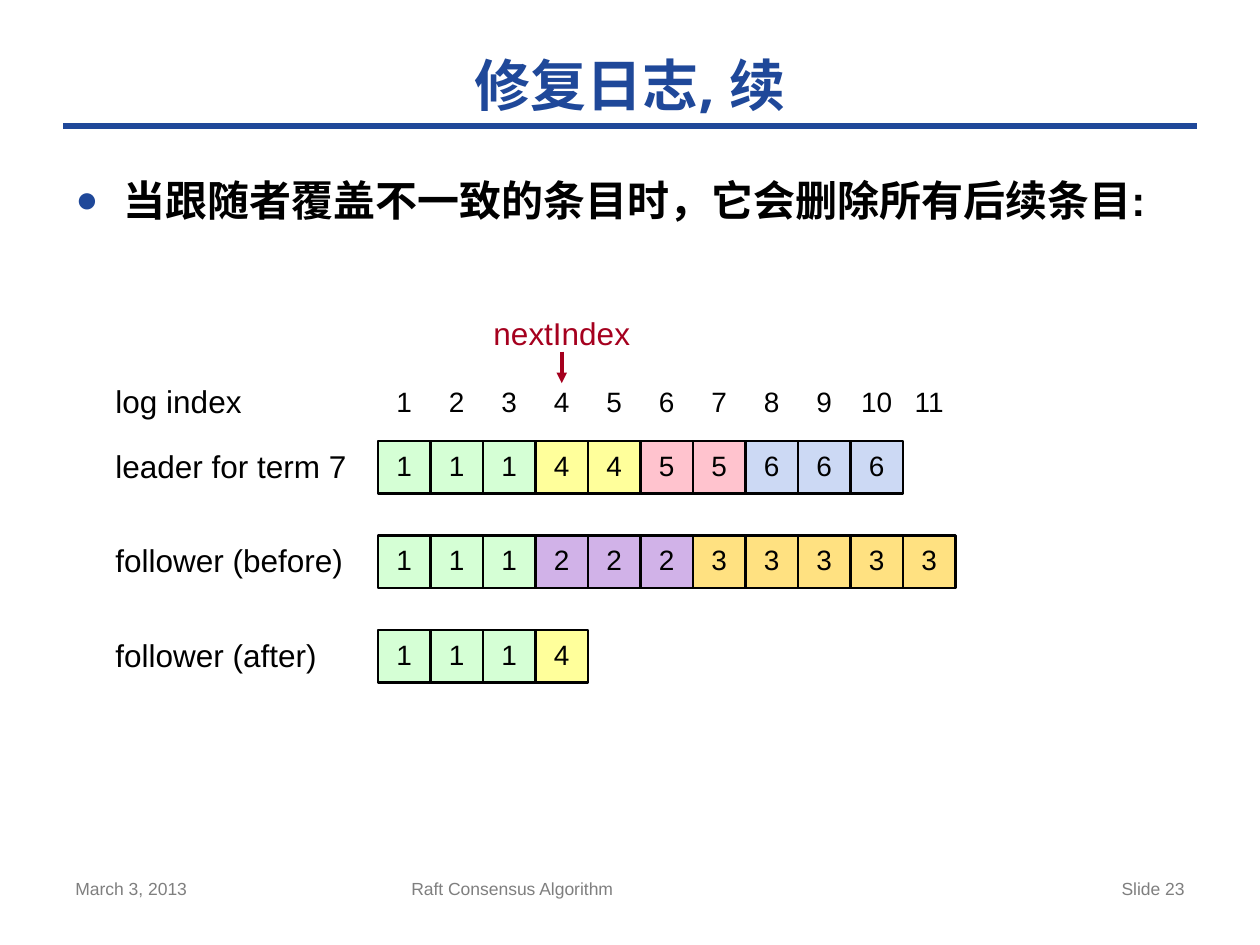
from lxml.etree import SubElement
from pptx import Presentation
from pptx.dml.color import RGBColor
from pptx.enum.shapes import MSO_CONNECTOR, MSO_SHAPE
from pptx.enum.text import MSO_ANCHOR, MSO_AUTO_SIZE, PP_ALIGN
from pptx.oxml.ns import qn
from pptx.util import Inches, Pt

COLORS = {
    "blue": "1F4899", "black": "000000", "gray": "7F7F7F", "red": "A5001E",
    "green": "D5FFD5", "yellow": "FFFF9B", "pink": "FFC3CE",
    "sky": "CCD9F4", "purple": "D1B2E8", "orange": "FFE181",
}
TERM_FILLS = {1: "green", 2: "purple", 3: "orange", 4: "yellow", 5: "pink", 6: "sky"}

# The grid has 12 units to the inch: 120 columns and 90 rows.
CELL = 5
LOG_X, LABEL_X = 36, 11
INDEX_Y, FOOTER_Y = 36, 83
LOG_Y, LOG_STEP = 42, 9
NEXT_INDEX = 4


def grid(units):
    """Turn grid units into a length."""
    return Inches(units / 12)


def rgb(name):
    """Look up a named colour."""
    return RGBColor.from_string(COLORS[name])


class Deck:
    """Holds the style and the current slide."""

    def __init__(self, prs, font="Arial"):
        self.font = font
        self.slide = prs.slides.add_slide(prs.slide_layouts[1])

    def place(self, sp, x, y, w, h):
        """Move and size a shape on the grid."""
        sp.left, sp.top, sp.width, sp.height = map(grid, (x, y, w, h))

    def set_text(self, sp, text, size, color="black", align=PP_ALIGN.LEFT,
                 anchor=MSO_ANCHOR.TOP, spacing=None, inset=None, bold=False, font=None):
        """Set one formatted paragraph and return it."""
        tf = sp.text_frame
        tf.word_wrap = True
        tf.auto_size = MSO_AUTO_SIZE.NONE
        tf.vertical_anchor = anchor
        if inset is not None:
            tf.margin_left = tf.margin_right = tf.margin_top = tf.margin_bottom = inset
        p = tf.paragraphs[0]
        p.alignment = align
        if spacing:
            p.line_spacing = Pt(spacing)
        r = p.add_run()
        r.text = text
        r.font.name, r.font.size, r.font.bold = font or self.font, Pt(size), bold
        r.font.color.rgb = rgb(color)
        return p

    def title(self, text):
        """Fill the title placeholder."""
        sp = self.slide.shapes.title
        self.place(sp, 6, 4, 108, 8)
        self.set_text(sp, text, 32, "blue", PP_ALIGN.CENTER, MSO_ANCHOR.MIDDLE,
                      bold=True, font="Open Sans")

    def bullet(self, text):
        """Fill the body placeholder with one bulleted line."""
        sp = self.slide.placeholders[1]
        self.place(sp, 6, 16, 108, 64.4)
        p = self.set_text(sp, text, 24, bold=True)
        p.space_before = Pt(12)
        pPr = p._p.get_or_add_pPr()
        pPr.set("marL", str(Inches(0.38)))
        pPr.set("indent", str(-Inches(0.38)))
        SubElement(SubElement(pPr, qn("a:buClr")), qn("a:srgbClr"), val=COLORS["blue"])
        SubElement(pPr, qn("a:buSzPct"), val="90000")
        SubElement(pPr, qn("a:buFont"), typeface=self.font)
        SubElement(pPr, qn("a:buChar"), char="●")

    def text(self, x, y, w, h, text, size, **style):
        """Add a text box."""
        sp = self.slide.shapes.add_textbox(*map(grid, (x, y, w, h)))
        self.set_text(sp, text, size, **style)

    def label(self, x, y, w, text, **style):
        """Add a label without insets."""
        self.text(x, y, w, 3.2, text, 18, spacing=19, inset=0, **style)

    def entry(self, x, y, term):
        """Add one log entry, coloured by its term."""
        sp = self.slide.shapes.add_shape(
            MSO_SHAPE.RECTANGLE, *map(grid, (x, y, CELL, CELL)))
        sp.shadow.inherit = False
        sp.fill.solid()
        sp.fill.fore_color.rgb = rgb(TERM_FILLS[term])
        sp.line.color.rgb, sp.line.width = rgb("black"), Pt(1.5)
        self.set_text(sp, str(term), 16, align=PP_ALIGN.CENTER,
                      anchor=MSO_ANCHOR.MIDDLE, spacing=17, inset=0)

    def line(self, x1, y1, x2, y2, color, width, arrow=False):
        """Add a straight line, with an arrowhead at its end if asked."""
        cn = self.slide.shapes.add_connector(
            MSO_CONNECTOR.STRAIGHT, *map(grid, (x1, y1, x2, y2)))
        cn.line.color.rgb, cn.line.width = rgb(color), Pt(width)
        spPr = cn._element.spPr
        if arrow:
            SubElement(spPr.find(qn("a:ln")), qn("a:tailEnd"), type="triangle")
        SubElement(spPr, qn("a:effectLst"))


prs = Presentation()
prs.slide_width, prs.slide_height = grid(120), grid(90)
deck = Deck(prs)

deck.line(6, 12, 114, 12, "blue", 4)
deck.title("修复日志, 续")
deck.bullet("当跟随者覆盖不一致的条目时，它会删除所有后续条目:")

for x, w, text, align in [
    (6, 28, "March 3, 2013", PP_ALIGN.LEFT),
    (38, 45, "Raft Consensus Algorithm", PP_ALIGN.LEFT),
    (86, 28, "Slide 23", PP_ALIGN.RIGHT),
]:
    deck.text(x, FOOTER_Y, w, 5.2, text, 10, color="gray", align=align)

deck.text(LABEL_X, INDEX_Y + 0.4, 15, 3.6, "log index", 18, inset=0)
for i in range(11):
    w = CELL if i < 9 else CELL + 2
    deck.text(LOG_X + i * CELL - (w - CELL) / 2, INDEX_Y, w, 4.4, str(i + 1), 16,
              align=PP_ALIGN.CENTER)

logs = [
    ("leader for term 7", [1, 1, 1, 4, 4, 5, 5, 6, 6, 6]),
    ("follower (before)", [1, 1, 1, 2, 2, 2, 3, 3, 3, 3, 3]),
    ("follower (after)", [1, 1, 1, 4]),
]
for row, (name, terms) in enumerate(logs):
    y = LOG_Y + row * LOG_STEP
    deck.label(LABEL_X, y + 1, 24, name)
    for i, term in enumerate(terms):
        deck.entry(LOG_X + i * CELL, y, term)

next_x = LOG_X + (NEXT_INDEX - 0.5) * CELL
deck.line(next_x, 33.5, next_x, 36.5, "red", 2, arrow=True)
deck.label(next_x - 7, 30.3, 14, "nextIndex", color="red", align=PP_ALIGN.CENTER)

prs.save("out.pptx")
